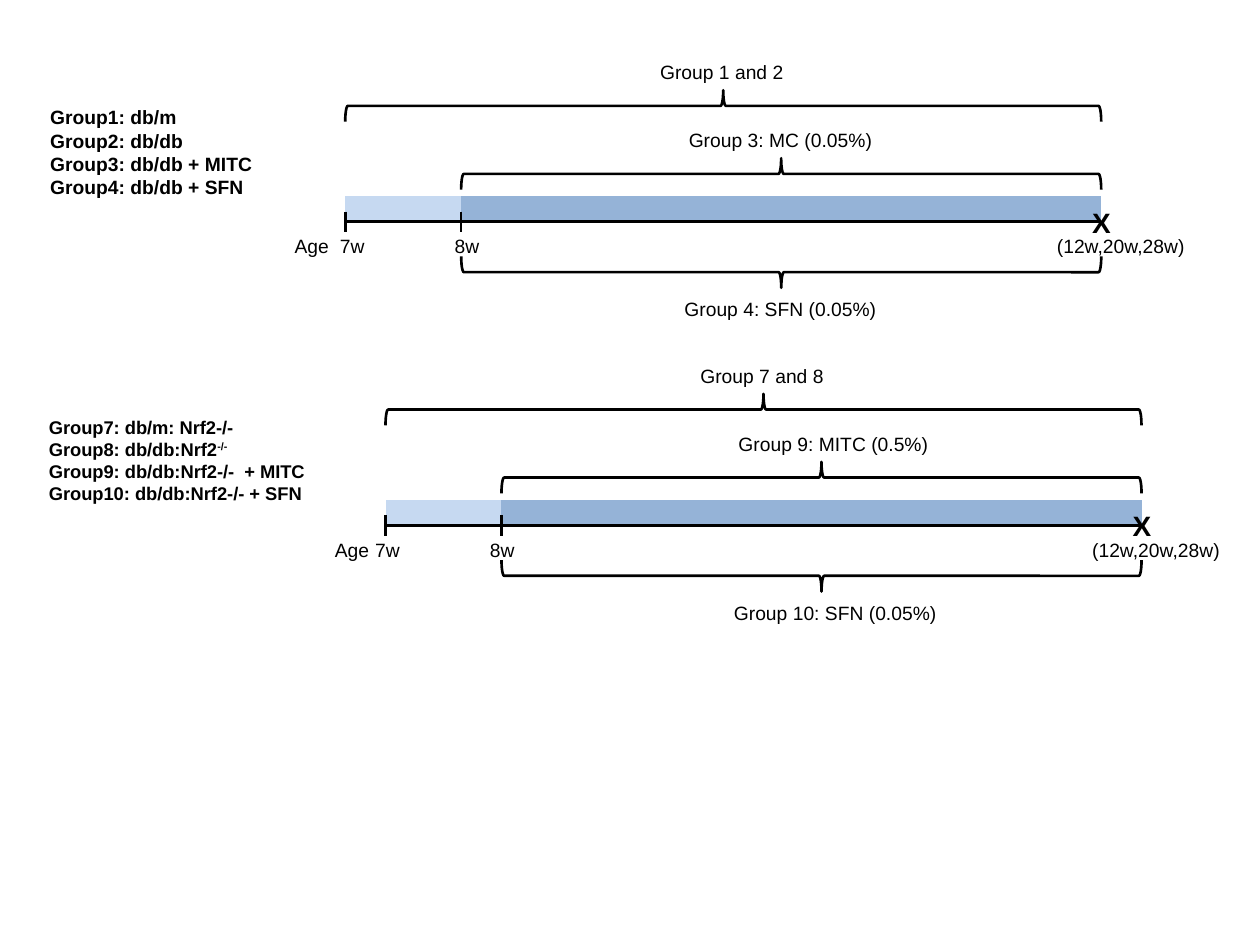
from dataclasses import dataclass

from lxml.etree import SubElement
from pptx import Presentation
from pptx.dml.color import RGBColor
from pptx.enum.shapes import MSO_CONNECTOR, MSO_SHAPE
from pptx.enum.text import MSO_AUTO_SIZE, PP_ALIGN
from pptx.oxml.ns import qn
from pptx.shapes.shapetree import GroupShapes
from pptx.text.text import TextFrame
from pptx.util import Inches, Pt

COLORS = {"ink": "000000", "run_in": "C6D9F1", "treatment": "95B3D7"}
FONT = "Arial"
RUN_IN = 0.92       # length of week 7 to 8
TREATMENT = 5.08    # length of week 8 to the end
TOTAL = RUN_IN + TREATMENT
BRACE_DEPTH = 0.25
LABEL_HEIGHT = 0.29


@dataclass
class Label:
    text: str
    width: float


@dataclass
class Legend:
    lines: list[list[str]]  # second run of a line is superscript
    left: float
    top: float
    width: float
    height: float
    size: float
    wrap: bool


@dataclass
class Timeline:
    start: float
    axis: float
    legend: Legend
    controls: Label
    upper: Label
    lower: Label
    age_tabs: tuple[float, float, float]


TIMELINES = [
    Timeline(
        2.74, 1.76,
        Legend([["Group1: db/m"], ["Group2: db/db"], ["Group3: db/db + MITC"],
                ["Group4: db/db + SFN"]], 0.3, 0.79, 1.86, 0.84, 11, False),
        Label("Group 1 and 2", 1.21),
        Label("Group 3: MC (0.05%)", 2.45),
        Label("Group 4: SFN (0.05%)", 2.83),
        (0.36, 1.27, 6.05),
    ),
    Timeline(
        3.06, 4.17,
        Legend([["Group7: db/m: Nrf2-/-"], ["Group8: db/db:Nrf2", "-/-"],
                ["Group9: db/db:Nrf2-/-  + MITC"], ["Group10: db/db:Nrf2-/- + SFN"]],
               0.29, 3.25, 2.64, 0.81, 10.5, True),
        Label("Group 7 and 8", 1.21),
        Label("Group 9: MITC (0.5%)", 2.65),
        Label("Group 10: SFN (0.05%)", 3.06),
        (0.32, 1.23, 6.01),
    ),
]


def color(name: str) -> RGBColor:
    return RGBColor.from_string(COLORS[name])


def add_text(shapes: GroupShapes, lines: list[list[str]], left: float, top: float,
             width: float, height: float, size: float = 11, bold: bool = False,
             wrap: bool = True, align: PP_ALIGN = PP_ALIGN.LEFT) -> TextFrame:
    box = shapes.add_textbox(Inches(left), Inches(top), Inches(width), Inches(height))
    frame = box.text_frame
    frame.word_wrap = wrap
    frame.auto_size = MSO_AUTO_SIZE.SHAPE_TO_FIT_TEXT
    for index, line in enumerate(lines):
        paragraph = frame.paragraphs[0] if index == 0 else frame.add_paragraph()
        paragraph.alignment = align
        for position, text in enumerate(line):
            run = paragraph.add_run()
            run.text = text
            run.font.name = FONT
            run.font.size = Pt(size)
            run.font.bold = bold
            run.font.color.rgb = color("ink")
            if position == 1:
                run.font._element.set("baseline", "30000")
    return frame


def add_bar(shapes: GroupShapes, left: float, axis: float, width: float, fill: str) -> None:
    bar = shapes.add_shape(MSO_SHAPE.FLOWCHART_PROCESS, Inches(left), Inches(axis - 0.2),
                           Inches(width), Inches(0.2))
    bar.shadow.inherit = False
    bar.fill.solid()
    bar.fill.fore_color.rgb = color(fill)
    bar.line.fill.background()


def add_line(shapes: GroupShapes, x1: float, y1: float, x2: float, y2: float) -> None:
    line = shapes.add_connector(MSO_CONNECTOR.STRAIGHT, Inches(x1), Inches(y1),
                                Inches(x2), Inches(y2))
    line.line.color.rgb = color("ink")
    line.line.width = Pt(1.5)
    SubElement(line._element.spPr, qn("a:effectLst"))


def add_brace(shapes: GroupShapes, left: float, middle: float, length: float,
              rotation: int) -> None:
    """Lay a right brace on its side, over the span that begins at left."""
    brace = shapes.add_shape(
        MSO_SHAPE.RIGHT_BRACE, Inches(left + (length - BRACE_DEPTH) / 2),
        Inches(middle - length / 2), Inches(BRACE_DEPTH), Inches(length))
    brace.rotation = rotation
    brace.shadow.inherit = False
    brace.fill.background()
    brace.line.color.rgb = color("ink")
    brace.line.width = Pt(1.5)


def add_age_labels(shapes: GroupShapes, timeline: Timeline) -> None:
    frame = add_text(shapes, [["Age\t7w\t8w\t(12w,20w,28w)"]], timeline.start - 0.5,
                     timeline.axis + 0.05, 7.5, LABEL_HEIGHT)
    properties = frame.paragraphs[0]._p.get_or_add_pPr()
    tab_list = SubElement(properties, qn("a:tabLst"))
    for stop in timeline.age_tabs:
        SubElement(tab_list, qn("a:tab"), pos=str(Inches(stop)), algn="l")


def draw_timeline(shapes: GroupShapes, timeline: Timeline) -> None:
    start, axis, legend = timeline.start, timeline.axis, timeline.legend
    week_8 = start + RUN_IN
    add_bar(shapes, start, axis, RUN_IN, "run_in")
    add_bar(shapes, week_8, axis, TREATMENT, "treatment")
    add_age_labels(shapes, timeline)
    for x in (start, week_8):
        add_line(shapes, x, axis - 0.08, x, axis + 0.08)
    add_line(shapes, start, axis, start + TOTAL, axis)
    add_text(shapes, [["X"]], start + 5.83, axis - 0.18, 0.35, 0.37, 16, True, False)
    add_text(shapes, legend.lines, legend.left, legend.top, legend.width, legend.height,
             legend.size, True, legend.wrap)

    for label, offset, rise, align in (
        (timeline.controls, 2.4, -1.33, PP_ALIGN.LEFT),
        (timeline.upper, 2.23, -0.79, PP_ALIGN.CENTER),
        (timeline.lower, 2.04, 0.55, PP_ALIGN.CENTER),
    ):
        add_text(shapes, [[label.text]], start + offset, axis + rise, label.width,
                 LABEL_HEIGHT, align=align)

    add_brace(shapes, start, axis - 0.92, TOTAL, 270)
    add_brace(shapes, week_8, axis - 0.38, TREATMENT, 270)
    add_brace(shapes, week_8, axis + 0.4, TREATMENT, 90)


def main() -> None:
    presentation = Presentation()
    presentation.slide_width = Inches(10)
    presentation.slide_height = Inches(7.5)
    slide = presentation.slides.add_slide(presentation.slide_layouts[6])
    for timeline in TIMELINES:
        draw_timeline(slide.shapes.add_group_shape().shapes, timeline)
    presentation.save("out.pptx")


if __name__ == "__main__":
    main()
